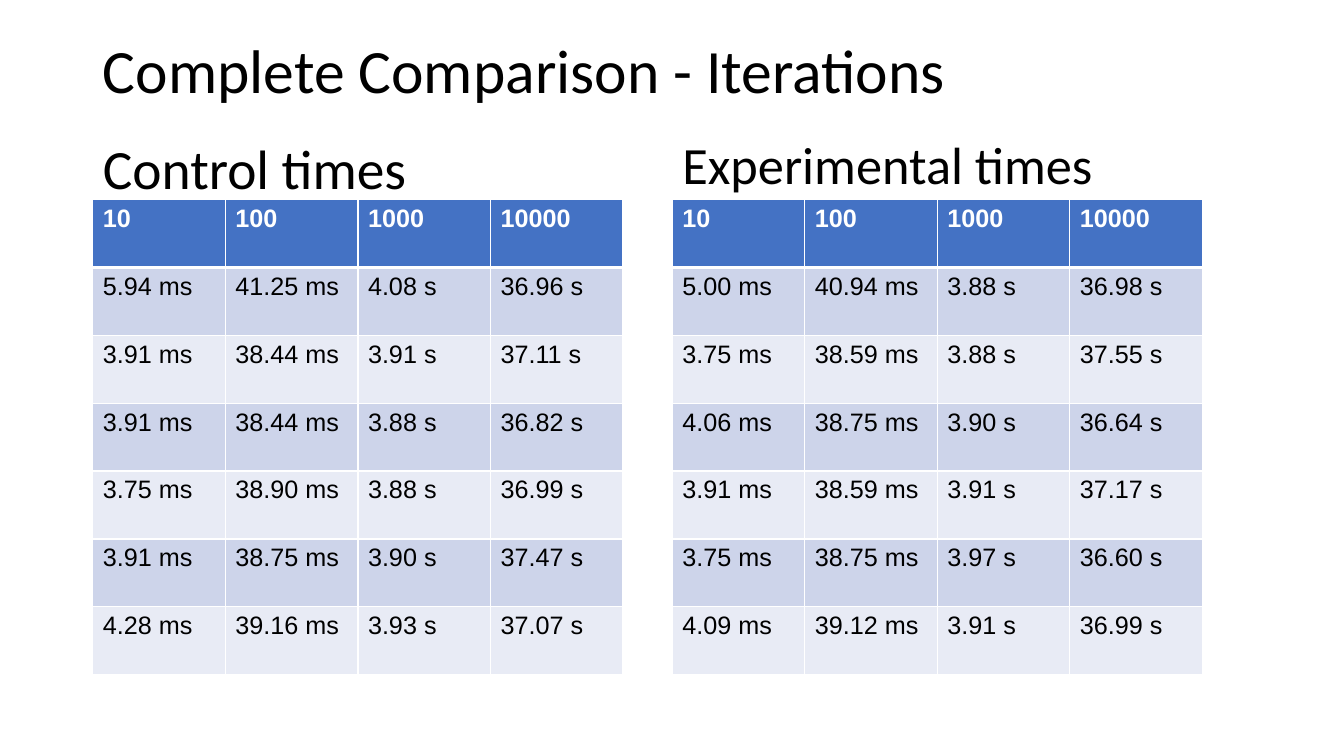
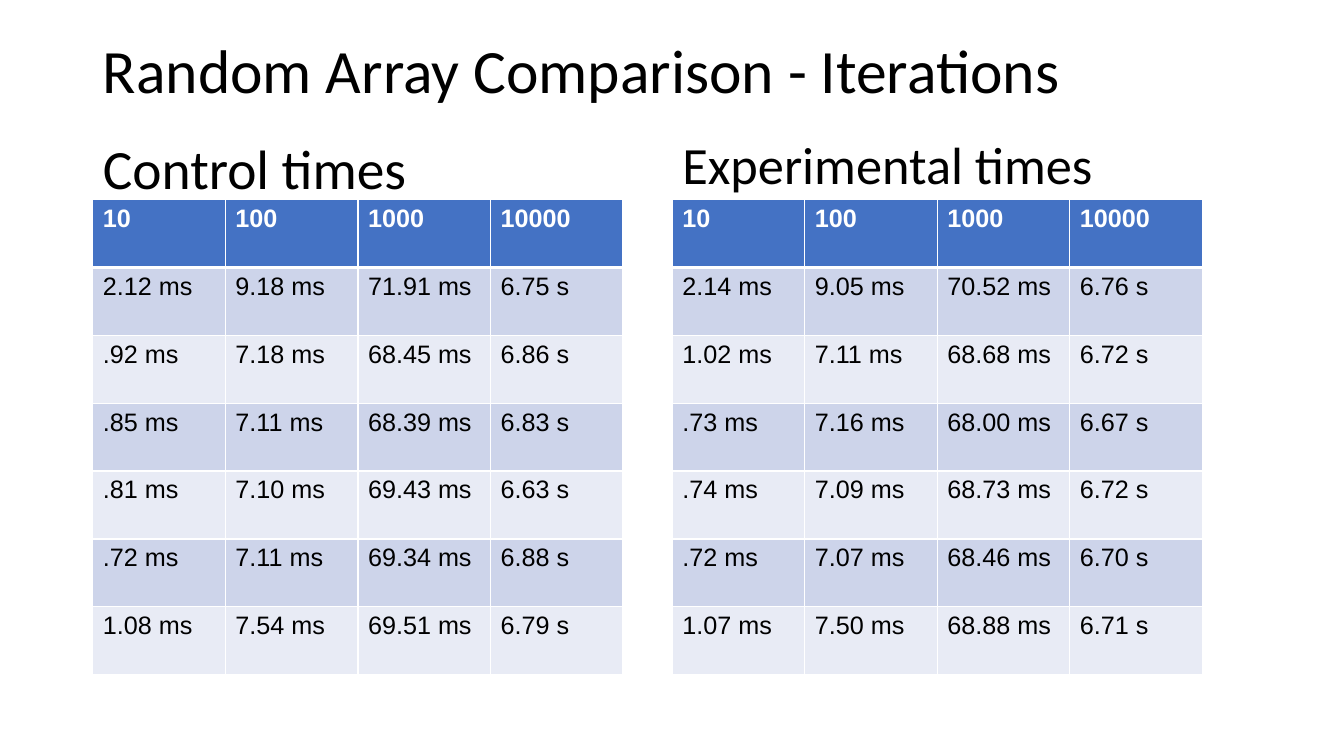
import pptx
import pptx.util
import pptx.dml.color
import pptx.enum.text
import pptx.oxml

Cm = pptx.util.Cm
Pt = pptx.util.Pt

HEADER_FILL = "4472C4"
BAND_FILLS = ["CDD4EA", "E8EBF5"]
WHITE = "FFFFFF"
BLACK = "000000"

COLUMN_WIDTH = 3.34
ROW_HEIGHT = 1.71
TABLE_TOP = 5.03
ITERATIONS = ["10", "100", "1000", "10000"]

TITLE_STYLE = (2.34, 1.02, 28, 1.78, 44, 0.8)
SIDES = [
    ("Control times", (2.34, 3.61, 13.39, 1.42, 39.6, 0.9)),
    ("Experimental times", (16.94, 3.58, 13.2, 1.45, 37.4, 0.7)),
]

SLIDES = [
    ("Complete Comparison - Iterations", [
        [
            ["5.94 ms", "41.25 ms", "4.08 s", "36.96 s"],
            ["3.91 ms", "38.44 ms", "3.91 s", "37.11 s"],
            ["3.91 ms", "38.44 ms", "3.88 s", "36.82 s"],
            ["3.75 ms", "38.90 ms", "3.88 s", "36.99 s"],
            ["3.91 ms", "38.75 ms", "3.90 s", "37.47 s"],
            ["4.28 ms", "39.16 ms", "3.93 s", "37.07 s"],
        ],
        [
            ["5.00 ms", "40.94 ms", "3.88 s", "36.98 s"],
            ["3.75 ms", "38.59 ms", "3.88 s", "37.55 s"],
            ["4.06 ms", "38.75 ms", "3.90 s", "36.64 s"],
            ["3.91 ms", "38.59 ms", "3.91 s", "37.17 s"],
            ["3.75 ms", "38.75 ms", "3.97 s", "36.60 s"],
            ["4.09 ms", "39.12 ms", "3.91 s", "36.99 s"],
        ],
    ]),
    ("Random Array Comparison - Iterations", [
        [
            ["2.12 ms", "9.18 ms", "71.91 ms", "6.75 s"],
            [".92 ms", "7.18 ms", "68.45 ms", "6.86 s"],
            [".85 ms", "7.11 ms", "68.39 ms", "6.83 s"],
            [".81 ms", "7.10 ms", "69.43 ms", "6.63 s"],
            [".72 ms", "7.11 ms", "69.34 ms", "6.88 s"],
            ["1.08 ms", "7.54 ms", "69.51 ms", "6.79 s"],
        ],
        [
            ["2.14 ms", "9.05 ms", "70.52 ms", "6.76 s"],
            ["1.02 ms", "7.11 ms", "68.68 ms", "6.72 s"],
            [".73 ms", "7.16 ms", "68.00 ms", "6.67 s"],
            [".74 ms", "7.09 ms", "68.73 ms", "6.72 s"],
            [".72 ms", "7.07 ms", "68.46 ms", "6.70 s"],
            ["1.07 ms", "7.50 ms", "68.88 ms", "6.71 s"],
        ],
    ]),
]


def set_color(color_format, value):
    color_format.rgb = pptx.dml.color.RGBColor.from_string(value)


def write_heading(shape, text, style):
    left, top, width, height, size, line_spacing = style
    shape.left, shape.top = Cm(left), Cm(top)
    shape.width, shape.height = Cm(width), Cm(height)
    frame = shape.text_frame
    frame.text = text
    frame.word_wrap = True
    frame.auto_size = pptx.enum.text.MSO_AUTO_SIZE.NONE
    frame.vertical_anchor = pptx.enum.text.MSO_ANCHOR.MIDDLE
    paragraph = frame.paragraphs[0]
    paragraph.alignment = pptx.enum.text.PP_ALIGN.LEFT
    paragraph.line_spacing = line_spacing
    paragraph.space_before = Pt(0)
    paragraph.font.name = "Calibri"
    paragraph.font.size = Pt(size)
    paragraph.font.bold = False
    set_color(paragraph.font.color, BLACK)


presentation = pptx.Presentation()
presentation.slide_width = Cm(33.87)
presentation.slide_height = Cm(19.05)
comparison_layout = presentation.slide_layouts.get_by_name("Comparison")

for title, tables in SLIDES:
    slide = presentation.slides.add_slide(comparison_layout)
    title_shape, left_heading, left_content, right_heading, right_content = slide.placeholders
    write_heading(title_shape, title, TITLE_STYLE)
    for content in (left_content, right_content):
        content.element.getparent().remove(content.element)

    for heading, (text, style), times in zip((left_heading, right_heading), SIDES, tables):
        write_heading(heading, text, style)
        rows = [ITERATIONS] + times
        table = slide.shapes.add_table(
            len(rows), len(ITERATIONS), Cm(style[0]), Cm(TABLE_TOP),
            Cm(COLUMN_WIDTH * len(ITERATIONS)), Cm(ROW_HEIGHT * len(rows))).table
        for column in table.columns:
            column.width = Cm(COLUMN_WIDTH)
        for row_index, values in enumerate(rows):
            table.rows[row_index].height = Cm(ROW_HEIGHT)
            is_header = row_index == 0
            fill = HEADER_FILL if is_header else BAND_FILLS[(row_index - 1) % 2]
            border_widths = {"L": 1, "R": 1, "T": 3 if row_index == 1 else 1, "B": 3 if is_header else 1}
            for column_index, value in enumerate(values):
                cell = table.cell(row_index, column_index)
                cell.text = value
                properties = cell._tc.get_or_add_tcPr()
                for side, width in border_widths.items():
                    properties.append(pptx.oxml.parse_xml(
                        f'<a:ln{side} xmlns:a="http://schemas.openxmlformats.org/drawingml/2006/main" '
                        f'w="{Pt(width)}"><a:solidFill><a:srgbClr val="{WHITE}"/></a:solidFill></a:ln{side}>'))
                cell.fill.solid()
                set_color(cell.fill.fore_color, fill)
                font = cell.text_frame.paragraphs[0].font
                font.name = "Arial"
                font.size = Pt(18)
                font.bold = is_header
                set_color(font.color, WHITE if is_header else BLACK)

presentation.save("out.pptx")
